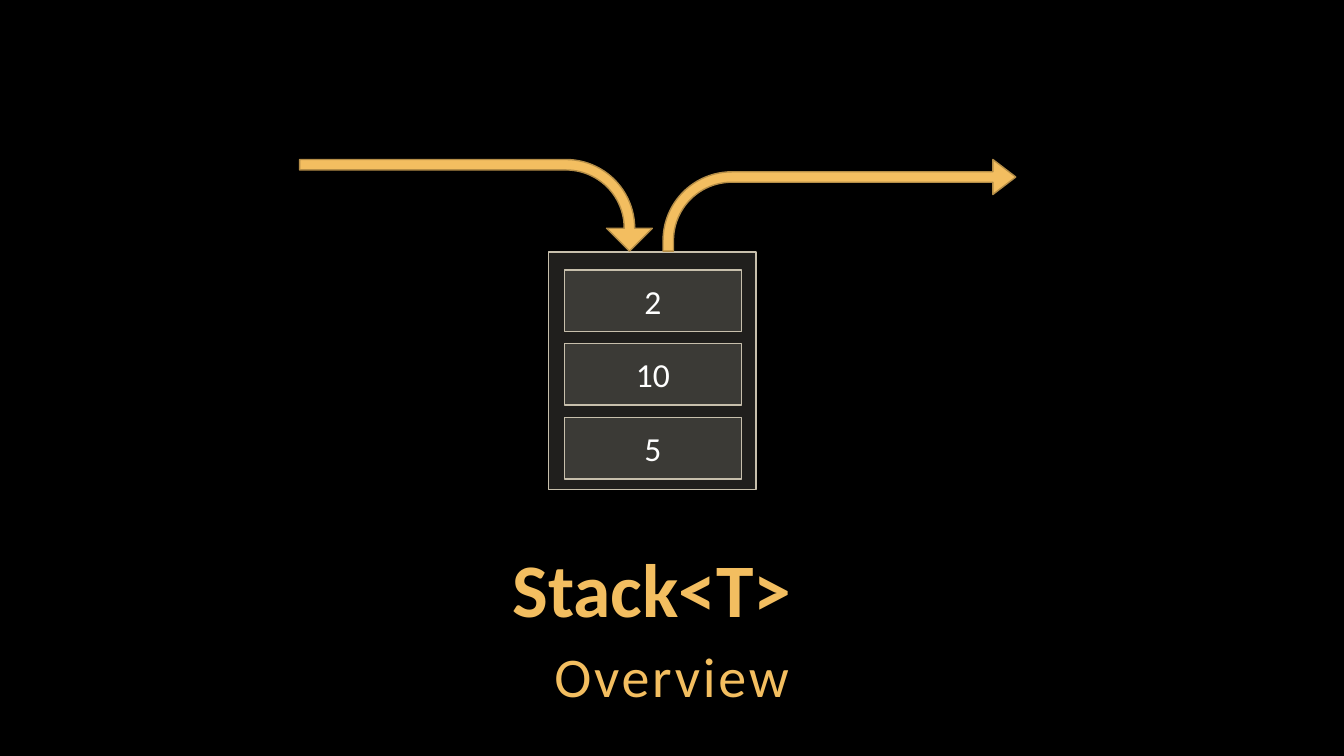
from dataclasses import dataclass

from lxml.etree import SubElement
from pptx import Presentation
from pptx.dml.color import RGBColor
from pptx.enum.shapes import MSO_SHAPE as Shape
from pptx.enum.text import MSO_ANCHOR as Anchor, MSO_AUTO_SIZE as AutoSize, PP_ALIGN as Align
from pptx.oxml.ns import qn
from pptx.util import Cm, Pt

TITLE = "Stack<T>"
SUBTITLE = "Overview"
STACK_ITEMS = ["2", "10", "5"]  # top to bottom

# Lengths in cm: left, top, width, height
SLIDE_SIZE = (33.87, 19.05)
TITLE_BOX = (4.01, 13.77, 24.84, 2.29)
SUBTITLE_BOX = (2.54, 15.98, 28.78, 2.01)
FRAME_BOX = (13.82, 6.35, 5.23, 5.99)
FIRST_ITEM_BOX = (14.22, 6.8, 4.47, 1.55)
ITEM_PITCH = 1.86
TEXT_INSETS = (0.1, 0.1)
ITEM_INSETS = (0.5, 0.25)

ARROW_LENGTH, ARROW_DEPTH, ARROW_TOP = 8.89, 2.31, 4.02
PUSH_LEFT, POP_LEFT = 7.55, 16.71
PUSH_ADJUST = (0.114, 0.25, 0.25, 0.75)
POP_ADJUST = (0.114, 0.191, 0.25, 0.75)


@dataclass(frozen=True)
class Theme:
    font: str = "Calibri"
    background: str = "000000"
    accent: str = "F3BE60"
    accent_line: str = "B48D47"
    panel: str = "D9D5C7"
    panel_line: str = "C7BFAC"
    panel_opacity: int = 15
    item_text: str = "FFFFFF"
    title_size: int = 54
    subtitle_size: int = 40
    item_size: int = 24
    line_width: int = 1


THEME = Theme()


def rgb(value):
    return RGBColor.from_string(value)


def set_all(obj, values):
    for name, value in values.items():
        setattr(obj, name, value)


def write(sp, text, size, color, insets, anchor, bold=False, **spacing):
    """Fill a shape with one centred line of text and return its run."""
    across, down = map(Cm, insets)
    tf = sp.text_frame
    set_all(tf, dict(word_wrap=True, auto_size=AutoSize.NONE, vertical_anchor=anchor,
                     margin_left=across, margin_right=across,
                     margin_top=down, margin_bottom=down))
    p = tf.paragraphs[0]
    set_all(p, dict(alignment=Align.CENTER, **spacing))
    r = p.add_run()
    r.text = text
    set_all(r.font, dict(name=THEME.font, size=Pt(size), bold=bold))
    r.font.color.rgb = rgb(color)
    return r


def add_shape(s, kind, box, fill, line, opacity=100):
    sp = s.shapes.add_shape(kind, *map(Cm, box))
    sp.shadow.inherit = False
    sp.fill.solid()
    sp.fill.fore_color.rgb = rgb(fill)
    if opacity < 100:
        color = sp.fill._xPr.find(qn("a:solidFill"))[0]
        SubElement(color, qn("a:alpha")).set("val", str(opacity * 1000))
    sp.line.color.rgb = rgb(line)
    sp.line.width = Pt(THEME.line_width)
    return sp


def add_panel(s, box):
    return add_shape(s, Shape.RECTANGLE, box, THEME.panel, THEME.panel_line,
                     THEME.panel_opacity)


def add_arrow(s, box, adjustments, rotation=0):
    sp = add_shape(s, Shape.BENT_ARROW, box, THEME.accent, THEME.accent_line)
    for i, value in enumerate(adjustments):
        sp.adjustments[i] = value
    sp.rotation = rotation


def add_headings(s):
    title = s.shapes.title
    set_all(title, dict(zip(("left", "top", "width", "height"), map(Cm, TITLE_BOX))))
    write(title, TITLE, THEME.title_size, THEME.accent, TEXT_INSETS, Anchor.BOTTOM,
          bold=True, line_spacing=0.9)

    subtitle = s.shapes.add_textbox(*map(Cm, SUBTITLE_BOX))
    r = write(subtitle, SUBTITLE, THEME.subtitle_size, THEME.accent, TEXT_INSETS,
              Anchor.TOP, line_spacing=1.05, space_after=Pt(6))
    r.font._element.set("spc", "200")  # letter spacing of 2 pt


def add_stack(s):
    add_panel(s, FRAME_BOX)
    left, top, width, height = FIRST_ITEM_BOX
    for i, item in enumerate(STACK_ITEMS):
        sp = add_panel(s, (left, top + i * ITEM_PITCH, width, height))
        write(sp, item, THEME.item_size, THEME.item_text, ITEM_INSETS, Anchor.MIDDLE)


def add_push_and_pop(s):
    # The push arrow is turned about its centre, so its unturned box is offset
    shift = (ARROW_LENGTH - ARROW_DEPTH) / 2
    add_arrow(s, (PUSH_LEFT + shift, ARROW_TOP - shift, ARROW_DEPTH, ARROW_LENGTH),
              PUSH_ADJUST, rotation=90)
    add_arrow(s, (POP_LEFT, ARROW_TOP, ARROW_LENGTH, ARROW_DEPTH), POP_ADJUST)


def main():
    prs = Presentation()
    prs.slide_width, prs.slide_height = map(Cm, SLIDE_SIZE)
    s = prs.slides.add_slide(prs.slide_layouts[5])
    s.background.fill.solid()
    s.background.fill.fore_color.rgb = rgb(THEME.background)
    add_headings(s)
    add_stack(s)
    add_push_and_pop(s)
    prs.save("out.pptx")


if __name__ == "__main__":
    main()
